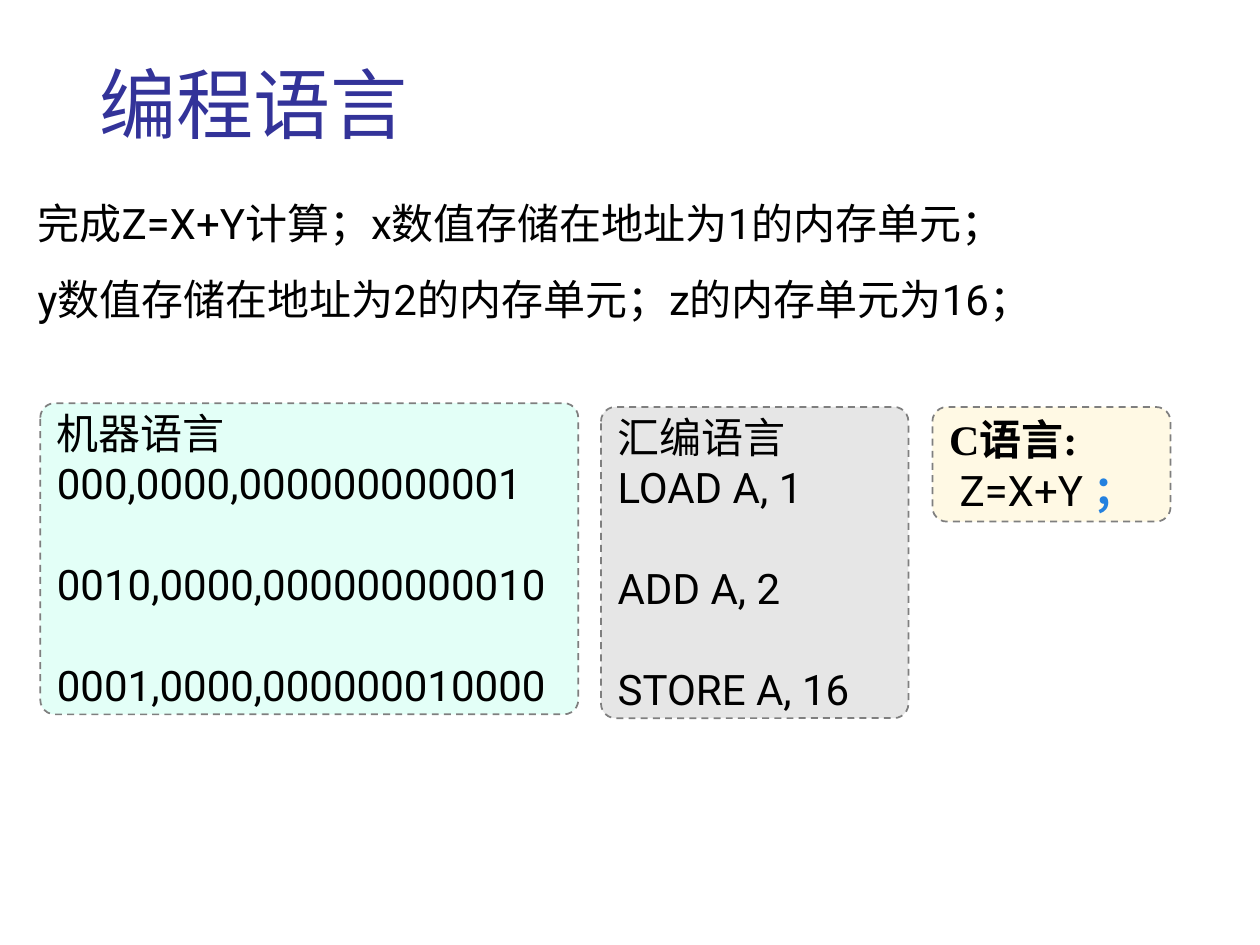
from lxml.etree import SubElement
from pptx import Presentation
from pptx.dml.color import RGBColor
from pptx.enum.dml import MSO_LINE
from pptx.enum.shapes import MSO_SHAPE
from pptx.enum.text import MSO_ANCHOR, PP_ALIGN
from pptx.oxml.ns import qn
from pptx.util import Inches, Pt

INDIGO = RGBColor(0x33, 0x33, 0x99)
BLACK = RGBColor(0x00, 0x00, 0x00)
BLUE = RGBColor(0x23, 0x81, 0xDF)
GRAY = RGBColor(0x7F, 0x7F, 0x7F)
MINT = RGBColor(0xC7, 0xFF, 0xF0)
SILVER = RGBColor(0xCC, 0xCC, 0xCC)
CREAM = RGBColor(0xFF, 0xF4, 0xC8)
SANS = "Roboto"
SERIF = "Times New Roman"


class LanguageSlide:
    """Holds the text style and the page, and draws each kind of element."""

    def __init__(self, page, size=24, corner=0.115, opacity=49):
        self.page = page
        self.size = size
        self.corner = corner
        self.opacity = opacity

    def span(self, para, text, font=SANS, color=BLACK, bold=False, size=None):
        run = para.add_run()
        run.text = text
        run.font.name = font
        run.font.size = Pt(size or self.size)
        run.font.bold = bold
        run.font.color.rgb = color

    def paragraphs(self, frame, count):
        paras = [frame.paragraphs[0]]
        paras += [frame.add_paragraph() for _ in range(count - 1)]
        for para in paras:
            para.alignment = PP_ALIGN.LEFT
        return paras

    def text(self, place, lines, spacing=1.0, **style):
        box = self.page.shapes.add_textbox(*map(Inches, place))
        frame = box.text_frame
        frame.word_wrap = True
        for para, line in zip(self.paragraphs(frame, len(lines)), lines):
            para.line_spacing = spacing
            self.span(para, line, **style)

    def panel(self, place, fill, count):
        box = self.page.shapes.add_shape(
            MSO_SHAPE.ROUNDED_RECTANGLE, *map(Inches, place))
        box.shadow.inherit = False
        box.adjustments[0] = self.corner / min(place[2:])
        box.fill.solid()
        box.fill.fore_color.rgb = fill
        color = box.fill._xPr.find(qn("a:solidFill"))[0]
        SubElement(color, qn("a:alpha"), val=str(self.opacity * 1000))
        box.line.color.rgb = GRAY
        box.line.width = Pt(1)
        box.line.dash_style = MSO_LINE.DASH
        frame = box.text_frame
        frame.word_wrap = True
        frame.vertical_anchor = MSO_ANCHOR.MIDDLE
        frame.margin_top = frame.margin_bottom = 0
        return self.paragraphs(frame, count)

    def listing(self, place, fill, heading, code):
        paras = self.panel(place, fill, len(code) + 1)
        for para, line in zip(paras, [heading, *code]):
            self.span(para, line)
        for para in paras[2:]:
            para.space_before = Pt(1.2 * self.size)


def main():
    deck = Presentation()
    deck.slide_width = Inches(10)
    deck.slide_height = Inches(7.5)
    slide = LanguageSlide(deck.slides.add_slide(deck.slide_layouts[6]))

    slide.text((0.69, 0.4, 8.63, 1.45), ["编程语言"], color=INDIGO, size=44)
    slide.listing((0.32, 3.2, 4.27, 2.47), MINT, "机器语言", [
        "000,0000,000000000001",
        "0010,0000,000000000010",
        "0001,0000,000000010000",
    ])

    heading, code = slide.panel((7.4, 3.23, 1.89, 0.91), CREAM, 2)
    slide.span(heading, "C语言:", SERIF, bold=True)
    slide.span(code, " ", SERIF, BLUE, True)
    slide.span(code, "Z=X+Y ")
    slide.span(code, "；", SERIF, BLUE, True)

    slide.text((0.2, 1.32, 8.66, 1.3), [
        "完成Z=X+Y计算；x数值存储在地址为1的内存单元；",
        "y数值存储在地址为2的内存单元；z的内存单元为16；",
    ], spacing=1.5)
    slide.listing((4.77, 3.23, 2.44, 2.47), SILVER, "汇编语言", [
        "LOAD A, 1", "ADD A, 2", "STORE A, 16",
    ])

    deck.save("out.pptx")


if __name__ == "__main__":
    main()
